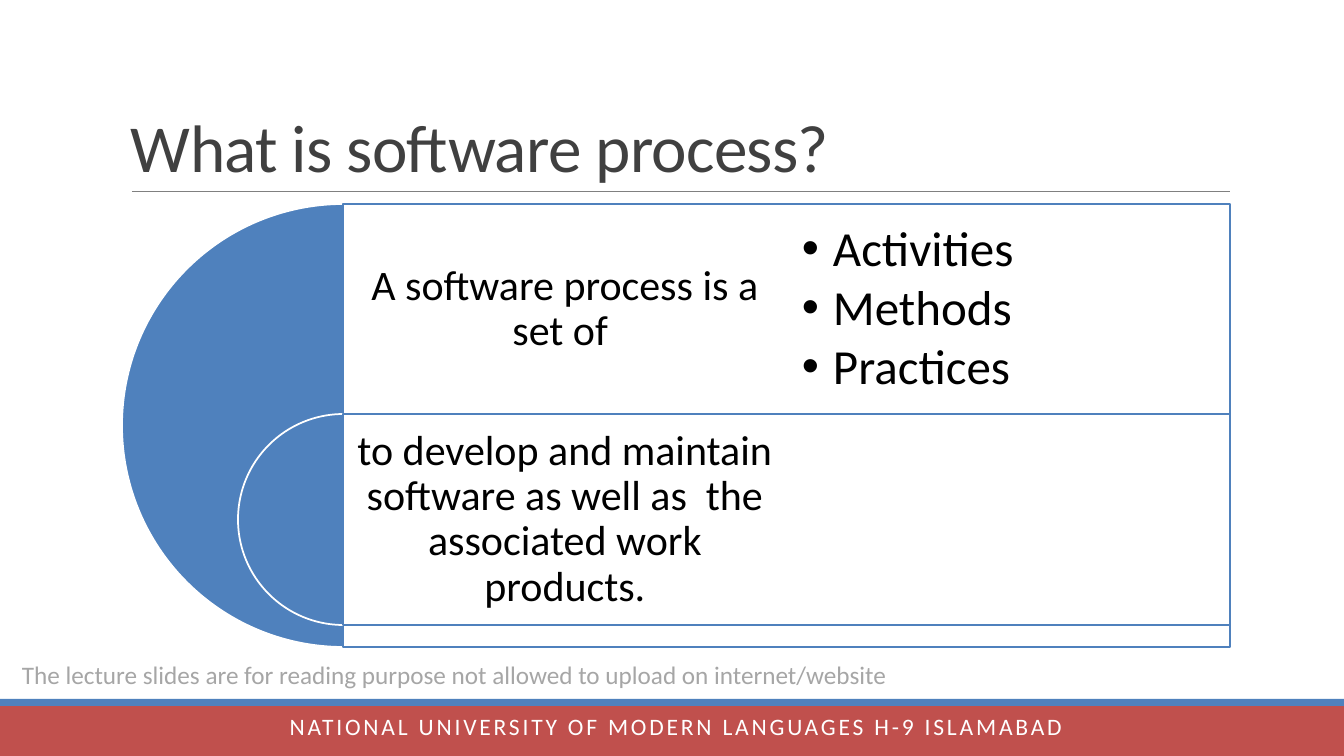
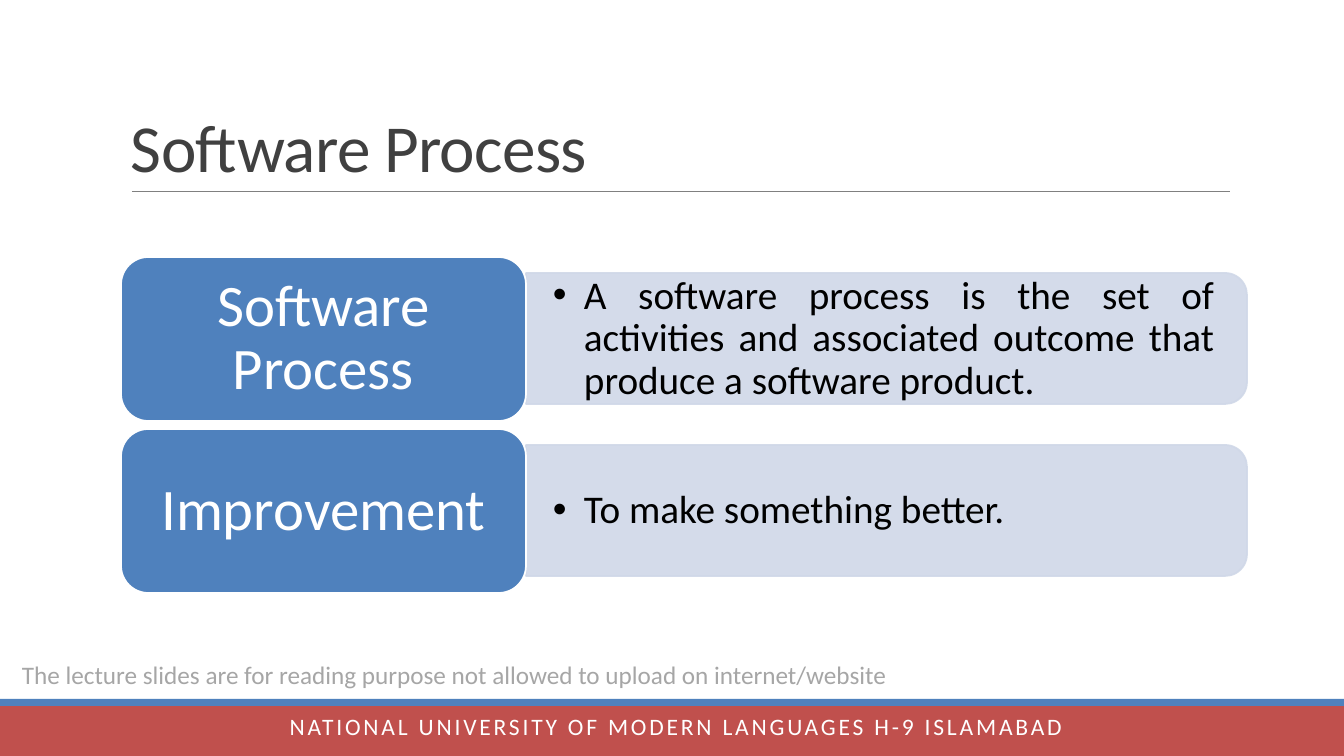
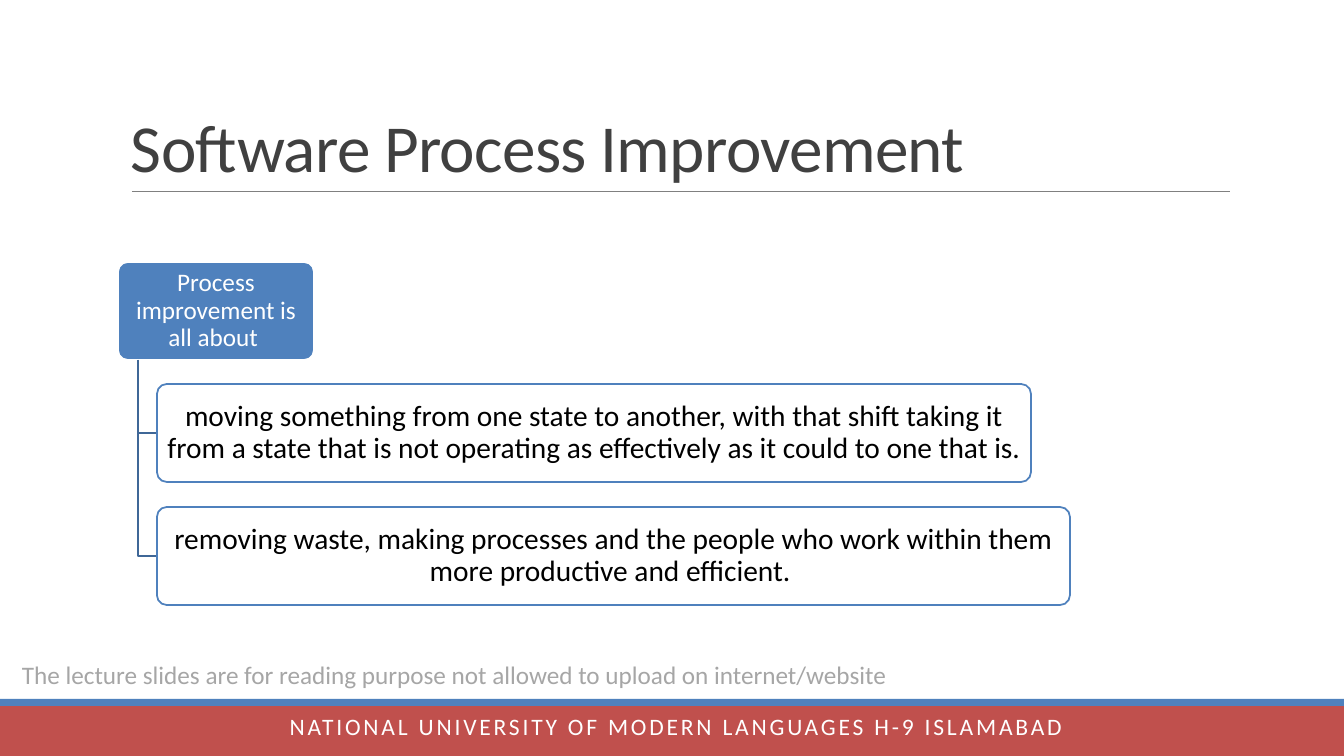
"""Build three slides on software process and its improvement."""
from lxml.etree import SubElement
from pptx import Presentation
from pptx.dml.color import RGBColor
from pptx.enum.shapes import MSO_CONNECTOR, MSO_SHAPE
from pptx.enum.text import MSO_ANCHOR, PP_ALIGN
from pptx.oxml.ns import qn
from pptx.util import Pt

PX = 914400 / 100.8
W, H = 1344, 756
FONT = "Calibri"
WHITE = RGBColor(0xFF, 0xFF, 0xFF)
BLACK = RGBColor(0x00, 0x00, 0x00)
BLUE = RGBColor(0x4F, 0x81, 0xBD)
DARK_BLUE = RGBColor(0x3F, 0x67, 0x97)
TINT = RGBColor(0xD0, 0xD8, 0xE8)
RED = RGBColor(0xC0, 0x50, 0x4D)
TITLE_GREY = RGBColor(0x40, 0x40, 0x40)
RULE_GREY = RGBColor(0x80, 0x80, 0x80)
NOTE_GREY = RGBColor(0xA6, 0xA6, 0xA6)

NOTE = "The lecture slides are for reading purpose not allowed to upload on internet/website"
FOOTER = "NATIONAL UNIVERSITY OF MODERN LANGUAGES H-9 ISLAMABAD"
TITLES = ["What is software process?", "Software Process", "Software Process Improvement"]


def box(s, kind, x, y, w, h, fill=None, line=None, adj=()):
    """Add a preset shape, or a text box when kind is None."""
    at = [round(v * PX) for v in (x, y, w, h)]
    if kind is None:
        return s.shapes.add_textbox(*at)
    sp = s.shapes.add_shape(kind, *at)
    sp.shadow.inherit = False
    sp.fill.solid()
    sp.fill.fore_color.rgb = fill
    if line is None:
        sp.line.fill.background()
    else:
        sp.line.color.rgb = line
        sp.line.width = Pt(1.25)
    for i, value in enumerate(adj):
        sp.adjustments[i] = value
    return sp


def write(sp, text, size, color=BLACK, align=PP_ALIGN.CENTER, anchor=MSO_ANCHOR.MIDDLE,
          margin=(10, 5), leading=0.9, after=0, tracking=0, bullet=False):
    """Fill a shape with one paragraph per line of text."""
    tf = sp.text_frame
    tf.word_wrap = True
    tf.vertical_anchor = anchor
    tf.margin_left = tf.margin_right = round(margin[0] * PX)
    tf.margin_top = tf.margin_bottom = round(margin[1] * PX)
    for i, item in enumerate(text.split("\n")):
        p = tf.add_paragraph() if i else tf.paragraphs[0]
        if bullet:
            pPr = p._p.get_or_add_pPr()
            pPr.set("marL", str(round(31 * PX)))
            pPr.set("indent", str(round(-31 * PX)))
            SubElement(pPr, qn("a:buFont"), typeface="Arial")
            SubElement(pPr, qn("a:buChar"), char="•")
        p.alignment = align
        p.line_spacing = leading
        p.space_after = Pt(after)
        r = p.add_run()
        r.text = item
        r.font.name = FONT
        r.font.size = Pt(size)
        r.font.color.rgb = color
        if tracking:
            r._r.get_or_add_rPr().set("spc", str(tracking))


prs = Presentation()
prs.slide_width = round(W * PX)
prs.slide_height = round(H * PX)

slides = []
for title in TITLES:
    s = prs.slides.add_slide(prs.slide_layouts[6])
    slides.append(s)
    box(s, MSO_SHAPE.RECTANGLE, 0, 706, W, 50, RED)
    box(s, MSO_SHAPE.RECTANGLE, 0, 699, W, 7, BLUE)
    rule = s.shapes.add_connector(MSO_CONNECTOR.STRAIGHT, *[round(v * PX) for v in (132, 191, 1230, 191)])
    rule.line.color.rgb = RULE_GREY
    rule.line.width = Pt(0.5)
    SubElement(rule._element.spPr, qn("a:effectLst"))
    write(box(s, None, 12, 654, 896, 40), NOTE, 18, NOTE_GREY, PP_ALIGN.LEFT, MSO_ANCHOR.TOP, leading=1)
    write(box(s, None, 121, 31, 1109, 160), title, 48, TITLE_GREY, PP_ALIGN.LEFT, MSO_ANCHOR.BOTTOM,
          leading=0.85, tracking=-50)
    write(box(s, None, 255, 715, 842, 41), FOOTER, 16.8, WHITE, anchor=MSO_ANCHOR.TOP,
          leading=0.7, tracking=200)

definition, terms, improvement = slides

for top, size, text in [
    (204, 443, "A software process is a set of "),
    (414, 211, "to develop and maintain software as well as  the associated work products."),
]:
    box(definition, MSO_SHAPE.PIE, 343 - size // 2, top, size, size, BLUE, WHITE, (54, 162))
    box(definition, MSO_SHAPE.RECTANGLE, 343, top, 887, size, WHITE, BLUE)
    write(box(definition, None, 343, top, 444, 211), text, 30, margin=(12, 12))
write(box(definition, None, 787, 204, 443, 211), "Activities\nMethods\nPractices", 35,
      align=PP_ALIGN.LEFT, margin=(15, 15), after=4.5, bullet=True)

BAR_W, BAR_H = 721, 131
turn = (BAR_W - BAR_H) // 2
for i, (term, meaning, align) in enumerate([
    ("Software Process",
     "A software process is the set of activities and associated outcome that produce a software product.",
     PP_ALIGN.JUSTIFY),
    ("Improvement", "To make something better.", PP_ALIGN.LEFT),
]):
    top = 257 + 172 * i
    bar = box(terms, MSO_SHAPE.ROUND_2_SAME_RECTANGLE, 526 + turn, top + 16 - turn, BAR_H, BAR_W, TINT, TINT)
    bar.rotation = 90
    for clr in bar._element.spPr.iter(qn("a:srgbClr")):
        SubElement(clr, qn("a:alpha"), val="90000")
    write(box(terms, None, 526, top + 23, 715, 118), meaning, 28, align=align, margin=(27, 14), bullet=True)
    write(box(terms, MSO_SHAPE.ROUNDED_RECTANGLE, 121, top, 405, 164, BLUE, WHITE), term, 42, WHITE,
          margin=(17, 9))

NODE_H = 98
root = box(improvement, MSO_SHAPE.ROUNDED_RECTANGLE, 118, 262, 196, NODE_H, BLUE, WHITE, (0.1,))
write(root, "Process improvement is all about ", 18, WHITE, margin=(4, 3))
for i, (width, text) in enumerate([
    (874, "moving something from one state to another, with that shift taking it from a state "
          "that is not operating as effectively as it could to one that is."),
    (913, "removing waste, making processes and the people who work within them "
          "more productive and efficient. "),
]):
    top = 384 + 123 * i
    middle = top + NODE_H // 2
    path = improvement.shapes.build_freeform(138, 360, scale=PX)
    path.add_line_segments([(138, middle), (157, middle)], close=False)
    branch = path.convert_to_shape()
    branch.shadow.inherit = False
    branch.fill.background()
    branch.line.color.rgb = DARK_BLUE
    branch.line.width = Pt(1.25)
    node = box(improvement, MSO_SHAPE.ROUNDED_RECTANGLE, 157, top, width, NODE_H, WHITE, BLUE, (0.1,))
    write(node, text, 21, margin=(4, 3))

prs.save("out.pptx")
